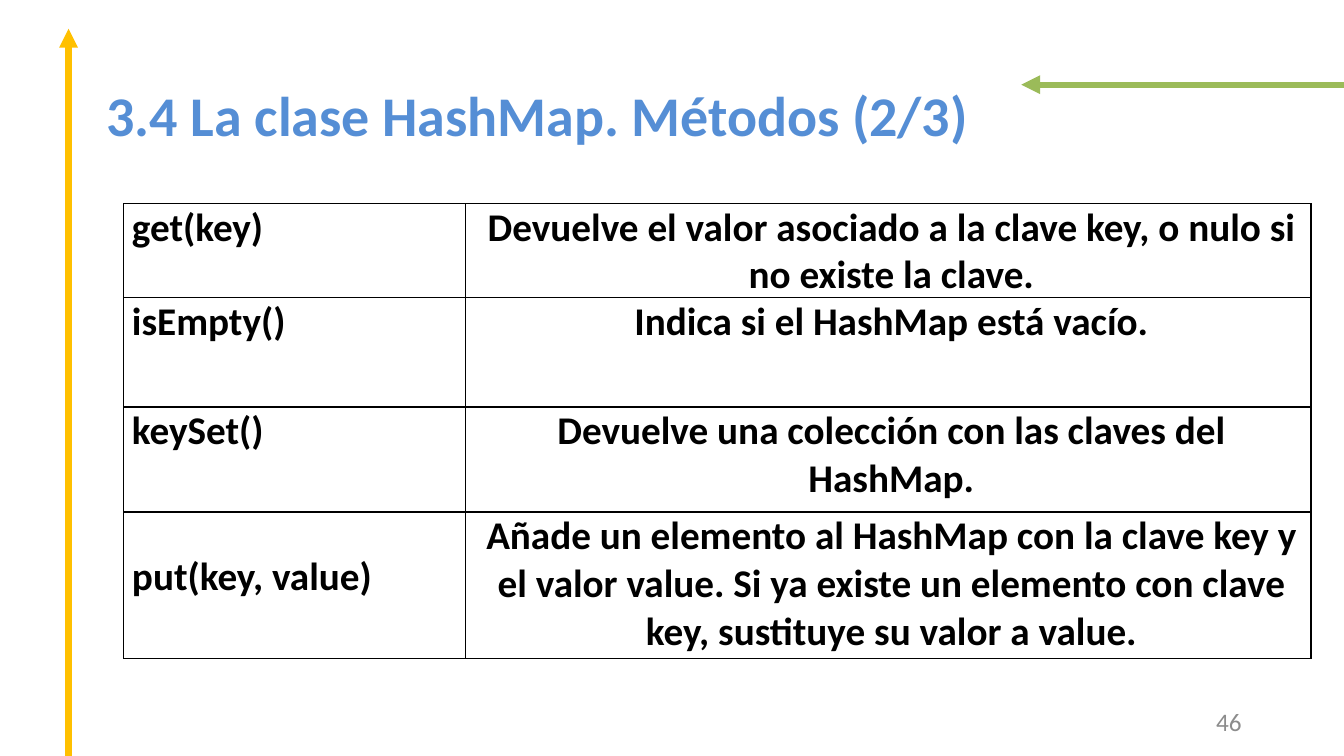
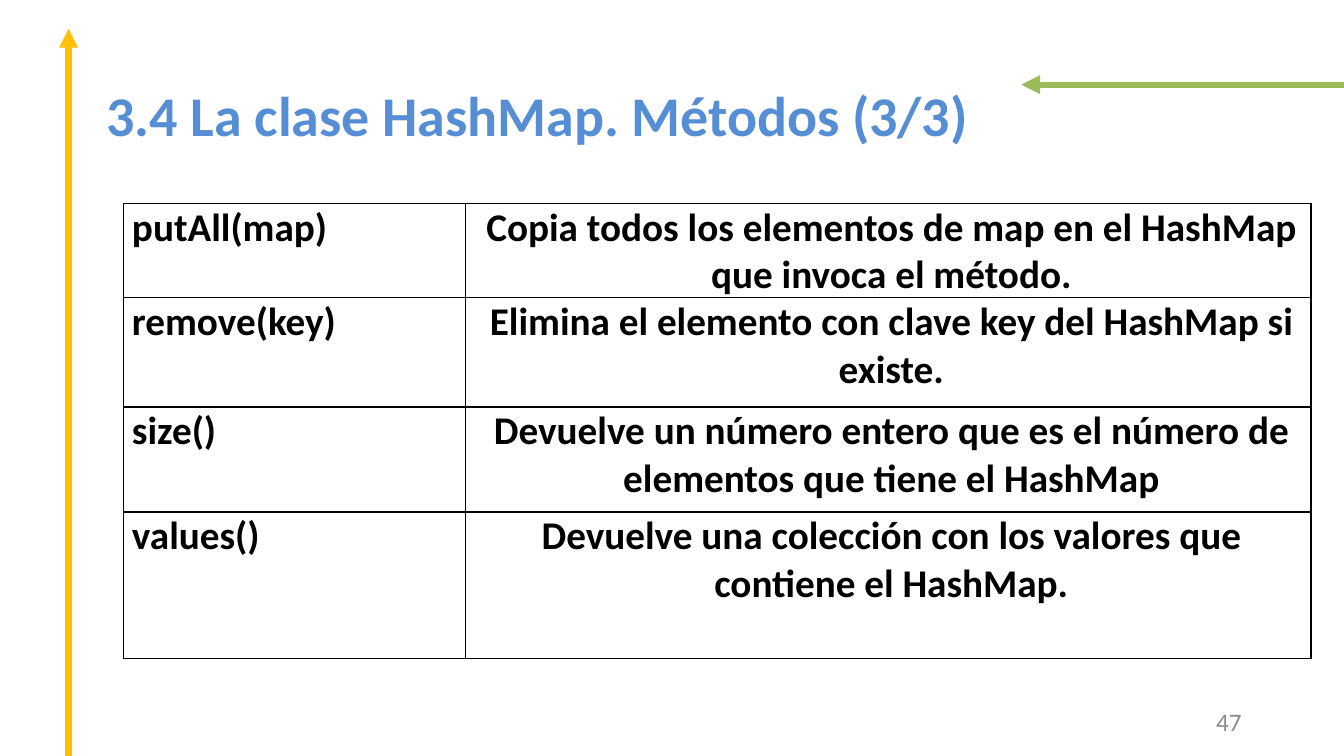
from dataclasses import dataclass

from lxml.etree import SubElement
from pptx import Presentation
from pptx.dml.color import RGBColor
from pptx.enum.shapes import MSO_CONNECTOR
from pptx.enum.text import MSO_ANCHOR, PP_ALIGN
from pptx.oxml.ns import qn
from pptx.util import Pt


@dataclass(frozen=True)
class Theme:
    face: str = "Calibri"
    blue: str = "558ED5"
    green: str = "9BBB59"
    gold: str = "FFC000"
    gray: str = "8C8C8C"
    black: str = "000000"
    title: float = 40
    body: float = 28
    foot: float = 18
    arrow: float = 4.5
    rule: float = 1


class Deck:
    """Holds the theme and the current slide, and draws each kind of element."""

    def __init__(self, theme):
        self.theme = theme
        self.show = Presentation()
        self.show.slide_width, self.show.slide_height = Pt(960), Pt(540)
        self.slide = None

    def page(self, title, number):
        look = self.theme
        self.slide = self.show.slides.add_slide(self.show.slide_layouts[6])
        self.arrow((960, 60.5), (729.5, 60.5), look.green)
        self.arrow((49, 540), (49, 20.5), look.gold)
        self.label(title, (69, 50.5, 868, 62), look.title, look.blue, bold=True)
        self.label(str(number), (678, 500.5, 216, 29), look.foot, look.gray,
                   PP_ALIGN.RIGHT)

    def style(self, frame, size, color, align, bold):
        for para in frame.paragraphs:
            para.alignment = align
            for run in para.runs:
                font = run.font
                font.name, font.size, font.bold = self.theme.face, Pt(size), bold
                font.color.rgb = RGBColor.from_string(color)

    def label(self, text, box, size, color, align=PP_ALIGN.LEFT, bold=False):
        frame = self.slide.shapes.add_textbox(*map(Pt, box)).text_frame
        frame.word_wrap = True
        frame.vertical_anchor = MSO_ANCHOR.MIDDLE
        frame.text = text
        self.style(frame, size, color, align, bold)

    def arrow(self, start, end, color):
        line = self.slide.shapes.add_connector(
            MSO_CONNECTOR.STRAIGHT, *map(Pt, start + end))
        line.line.width = Pt(self.theme.arrow)
        line.line.color.rgb = RGBColor.from_string(color)
        SubElement(line.line._get_or_add_ln(), qn("a:tailEnd"), type="triangle")
        SubElement(line._element.spPr, qn("a:effectLst"))

    def border(self, cell):
        props = cell._tc.get_or_add_tcPr()
        for side in ("lnL", "lnR", "lnT", "lnB"):
            edge = SubElement(props, qn(f"a:{side}"), w=str(Pt(self.theme.rule)))
            fill = SubElement(edge, qn("a:solidFill"))
            SubElement(fill, qn("a:srgbClr"), val=self.theme.black)

    def cell(self, cell, text, align, left, top):
        cell.margin_left, cell.margin_top = Pt(left), Pt(top)
        cell.margin_right = cell.margin_bottom = Pt(0)
        self.border(cell)
        cell.fill.background()
        cell.text_frame.text = text
        self.style(cell.text_frame, self.theme.body, self.theme.black, align, True)

    def table(self, rows, drop):
        wide, high = (244, 604), (57, 78, 75, 104.5)
        grid = self.slide.shapes.add_table(
            len(rows), len(wide), Pt(88.5), Pt(145.5),
            Pt(sum(wide)), Pt(sum(high))).table
        grid.first_row = grid.horz_banding = False
        for col, width in zip(grid.columns, wide):
            col.width = Pt(width)
        for row, height, (name, note) in zip(grid.rows, high, rows):
            row.height = Pt(height)
            self.cell(row.cells[0], name, PP_ALIGN.LEFT, 5.8, drop.get(name, 0))
            self.cell(row.cells[1], note, PP_ALIGN.CENTER, 4.3, 0)


PAGES = [
    ("3.4 La clase HashMap. Métodos (2/3)", [
        ("get(key)", "Devuelve el valor asociado a la clave key, o nulo si "
                     "no existe la clave."),
        ("isEmpty()", "Indica si el HashMap está vacío."),
        ("keySet()", "Devuelve una colección con las claves del HashMap."),
        ("put(key, value)", "Añade un elemento al HashMap con la clave key y el "
                            "valor value. Si ya existe un elemento con clave key, "
                            "sustituye su valor a value."),
    ]),
    ("3.4 La clase HashMap. Métodos (3/3)", [
        ("putAll(map)", "Copia todos los elementos de map en el HashMap que "
                        "invoca el método."),
        ("remove(key)", "Elimina el elemento con clave key del HashMap si\n"
                        "existe."),
        ("size()", "Devuelve un número entero que es el número de\n"
                   "elementos que tiene el HashMap"),
        ("values()", "Devuelve una colección con los valores que contiene "
                     "el HashMap."),
    ]),
]
DROP = {"put(key, value)": 29.3}


def main():
    deck = Deck(Theme())
    for number, (title, rows) in enumerate(PAGES, 46):
        deck.page(title, number)
        deck.table(rows, DROP)
    deck.show.save("out.pptx")


if __name__ == "__main__":
    main()
